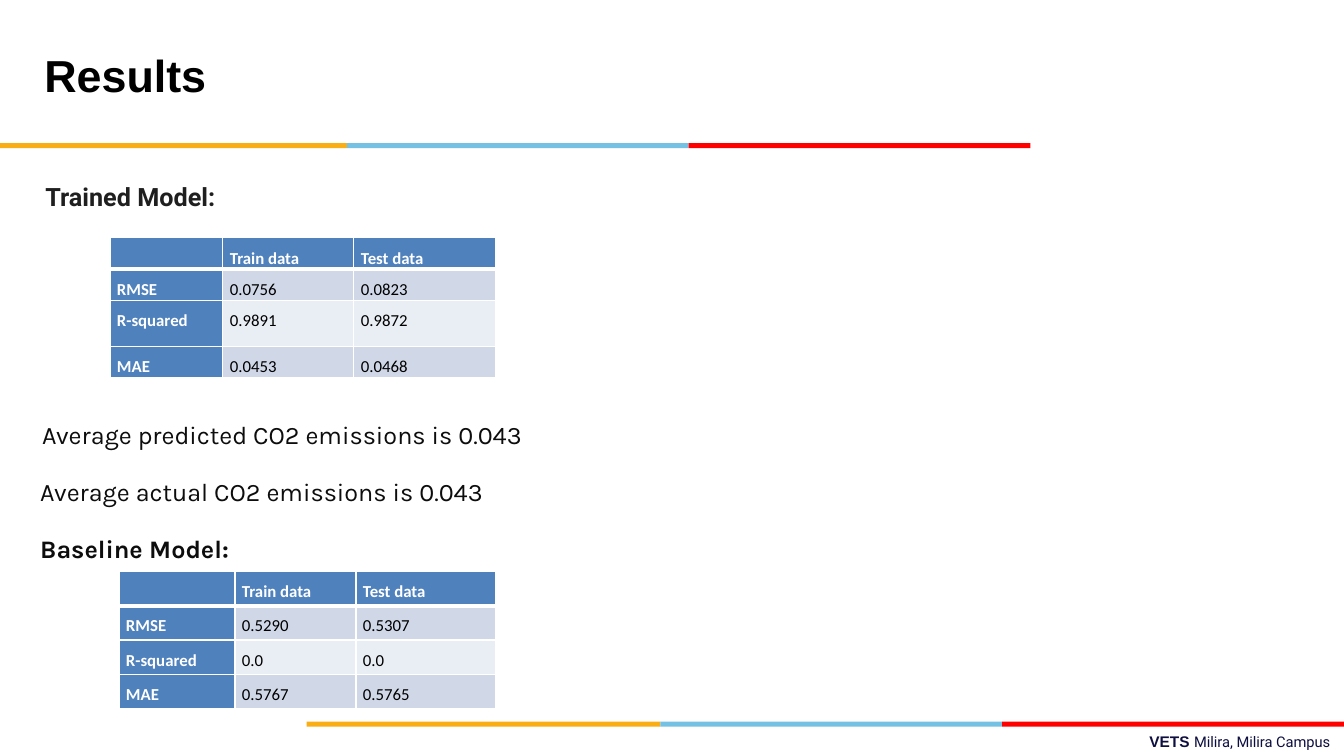
from lxml import etree
from pptx import Presentation
from pptx.dml.color import RGBColor
from pptx.enum.shapes import MSO_SHAPE
from pptx.enum.text import MSO_ANCHOR, PP_ALIGN
from pptx.oxml.ns import qn
from pptx.util import Inches, Pt

RECT = MSO_SHAPE.RECTANGLE
TOP = MSO_ANCHOR.TOP
LEFT = PP_ALIGN.LEFT

COLORS = {
    "gold": "FAAE16", "sky": "75C1E3", "red": "FF0000",
    "head": "4F81BD", "dark": "D0D8E8", "pale": "E9EDF4",
    "white": "FFFFFF", "black": "000000", "ink": "1F1F1F",
    "body": "0D0D0D", "navy": "0E0F40",
}

TRAINED = [
    ["", "Train data", "Test data"],
    ["RMSE", "0.0756", "0.0823"],
    ["R-squared", "0.9891", "0.9872"],
    ["MAE", "0.0453", "0.0468"],
]
BASE = [
    ["", "Train data", "Test data"],
    ["RMSE", "0.5290", "0.5307"],
    ["R-squared", "0.0", "0.0"],
    ["MAE", "0.5767", "0.5765"],
]


def color(name):
    return RGBColor.from_string(COLORS[name])


def style(font, name, size, tint, bold=False):
    font.name, font.size, font.bold = name, Pt(size), bold
    font.color.rgb = color(tint)


def indent(para, left, first):
    props = para._p.get_or_add_pPr()
    props.set("marL", str(Inches(left)))
    props.set("indent", str(Inches(first)))


def set_frame(frame, top=0.0, side=0.0):
    frame.word_wrap = True
    frame.vertical_anchor = TOP
    frame.margin_left = frame.margin_right = Inches(side)
    frame.margin_top, frame.margin_bottom = Inches(top), Inches(top)


def add_box(slide, left, top, width, height, inset=0.0, side=0.0):
    box = slide.shapes.add_textbox(
        Inches(left), Inches(top), Inches(width), Inches(height))
    set_frame(box.text_frame, inset, side)
    return box.text_frame


def add_stripe(slide, top, height, edges):
    """Draw gold, sky and red bands between four edges."""
    for name, left, right in zip(("gold", "sky", "red"), edges, edges[1:]):
        band = slide.shapes.add_shape(
            RECT, Inches(left), Inches(top),
            Inches(right - left), Inches(height))
        band.shadow.inherit = False
        band.fill.solid()
        band.fill.fore_color.rgb = color(name)
        band.line.fill.background()


def add_title(slide, text):
    title = slide.shapes.title
    title.left, title.top = Inches(0.43), Inches(0.46)
    title.width, title.height = Inches(8.82), Inches(0.55)
    frame = title.text_frame
    set_frame(frame, 0.01)
    frame.text = text
    para = frame.paragraphs[0]
    para.alignment = LEFT
    para.space_before = Pt(1)
    indent(para, 0.01, 0)
    style(para.font, "Arial", 32, "black", True)


def set_border(cell, row):
    """White edges, thick between the head and the first data row."""
    props = cell._tc.get_or_add_tcPr()
    for side in "LRTB":
        thick = (row, side) in ((0, "B"), (1, "T"))
        line = etree.SubElement(props, qn("a:ln" + side))
        line.set("w", str(Pt(3 if thick else 1)))
        fill = etree.SubElement(line, qn("a:solidFill"))
        etree.SubElement(fill, qn("a:srgbClr")).set("val", COLORS["white"])


def fill_cell(cell, text, row, col):
    label = row == 0 or col == 0
    set_border(cell, row)
    cell.fill.solid()
    cell.fill.fore_color.rgb = color(
        "head" if label else "dark" if row % 2 else "pale")
    cell.margin_left = cell.margin_right = Inches(0.07)
    cell.margin_top = cell.margin_bottom = 0
    cell.text = text
    para = cell.text_frame.paragraphs[0]
    para.line_spacing, para.space_after = 1.5, Pt(8.5)
    indent(para, 0.01, -0.01)
    style(para.font, "Calibri", 12, "white" if label else "black", label)


def add_scores(slide, left, top, cols, rows, data):
    table = slide.shapes.add_table(
        len(rows), len(cols), Inches(left), Inches(top),
        Inches(sum(cols)), Inches(sum(rows))).table
    for col, width in enumerate(cols):
        table.columns[col].width = Inches(width)
    for row, height in enumerate(rows):
        table.rows[row].height = Inches(height)
        for col, text in enumerate(data[row]):
            fill_cell(table.cell(row, col), text, row, col)


def add_label(slide):
    frame = add_box(slide, 0.44, 1.79, 11.25, 0.63, 0.01)
    para = frame.paragraphs[0]
    para.text = "Trained Model:"
    para.space_before = Pt(1.1)
    indent(para, 0.01, 0)
    style(para.font, "Roboto", 18, "ink", True)


def add_notes(slide):
    lines = [
        ("Average predicted CO2 emissions is 0.043", 0.01, 0.14, False),
        ("Average actual CO2 emissions is 0.043", 0.14, -0.01, False),
        ("Baseline Model:", 0.14, -0.01, True),
    ]
    frame = add_box(slide, 0.17, 3.96, 7.08, 2.24, 0.05, 0.1)
    frame.text = "\n".join(line[0] for line in lines)
    for para, (_, left, first, bold) in zip(frame.paragraphs, lines):
        para.line_spacing, para.space_after = 1.5, Pt(8.5)
        indent(para, left, first)
        style(para.font, "Karla", 18, "body", bold)


def add_footer(slide):
    frame = add_box(slide, 11.39, 7.26, 1.85, 0.2)
    frame.word_wrap = False
    para = frame.paragraphs[0]
    para.alignment = LEFT
    indent(para, 0.01, 0)
    for text, name, bold in (("VETS ", "Arial", True),
                             ("Milira, Milira Campus", "Roboto", False)):
        run = para.add_run()
        run.text = text
        style(run.font, name, 11 if bold else 10.5, "navy", bold)


def main():
    deck = Presentation()
    deck.slide_width, deck.slide_height = Inches(13.33), Inches(7.5)
    slide = deck.slides.add_slide(deck.slide_layouts[5])

    # Frame of the page
    add_stripe(slide, 7.16, 0.05, (3.04, 6.55, 9.94, 13.33))
    add_stripe(slide, 1.42, 0.05, (0, 3.44, 6.83, 10.22))
    add_title(slide, "Results")
    add_footer(slide)

    # Trained model
    add_label(slide)
    add_scores(slide, 1.09, 2.36, (1.12, 1.3, 1.41),
               (0.31, 0.31, 0.46, 0.31), TRAINED)

    # Averages and baseline model
    add_notes(slide)
    add_scores(slide, 1.18, 5.67, (1.15, 1.2, 1.39), (0.34,) * 4, BASE)

    deck.save("out.pptx")


if __name__ == "__main__":
    main()
